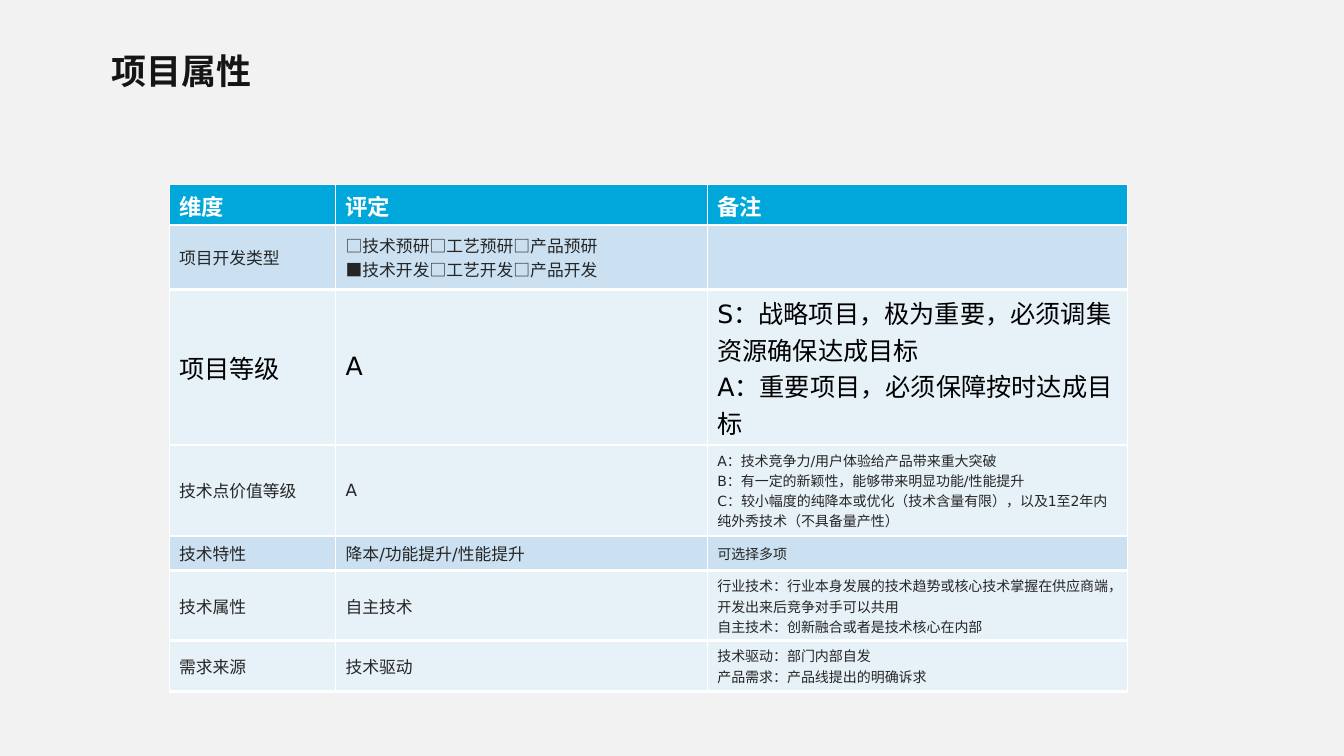
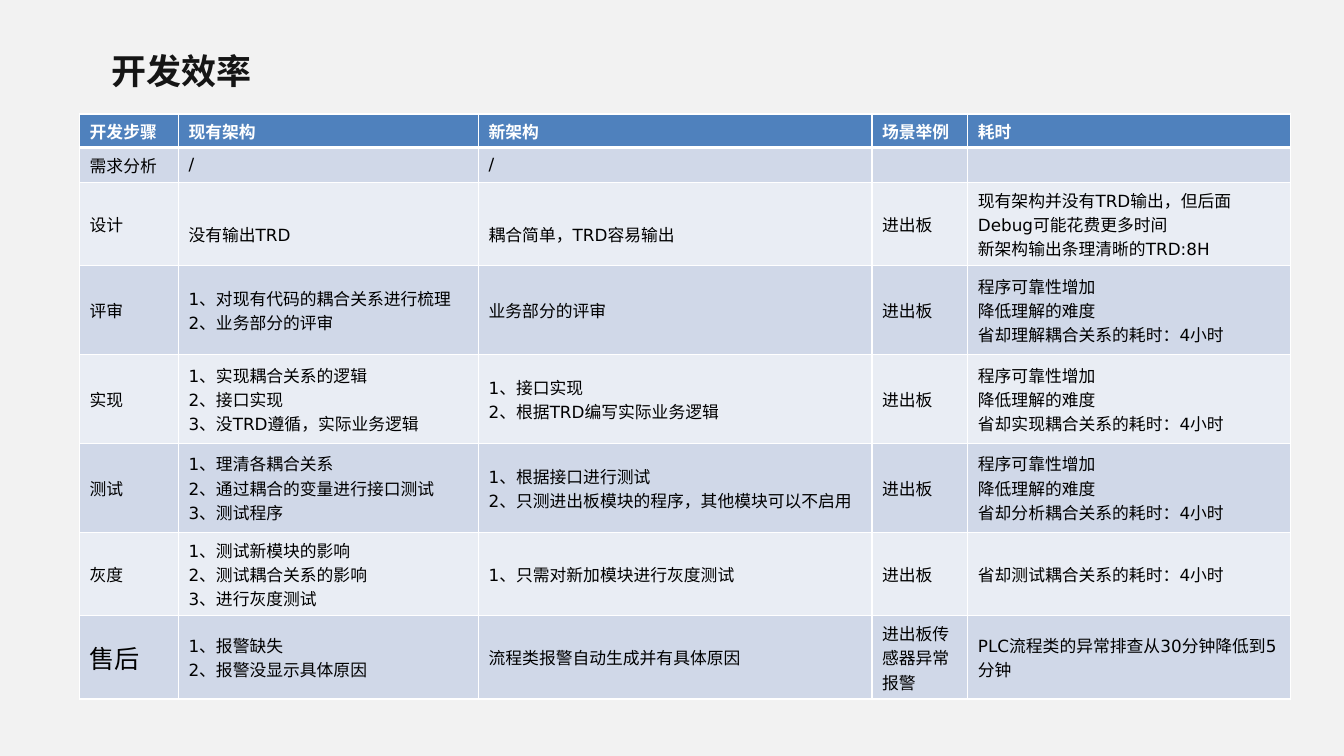
import dataclasses

import lxml.etree
import pptx
import pptx.dml.color
import pptx.enum.text
import pptx.oxml.ns
import pptx.util

Pt = pptx.util.Pt
RGB = pptx.dml.color.RGBColor.from_string
qn = pptx.oxml.ns.qn
MIDDLE = pptx.enum.text.MSO_ANCHOR.MIDDLE


@dataclasses.dataclass(frozen=True)
class Theme:
    background: str = "F2F2F2"
    title_color: str = "151515"
    rule: str = "FFFFFF"
    header_text: str = "FFFFFF"
    black: str = "000000"
    title_font: str = "Arial"
    body_font: str = "DejaVu Sans"
    title_size: float = 25
    large: float = 18
    heading: float = 16
    body: float = 12
    note: float = 10


THEME = Theme()


@dataclasses.dataclass(frozen=True)
class TableStyle:
    header_fill: str
    dark_fill: str
    light_fill: str
    text_color: str
    header_size: float
    column_sizes: tuple
    side_rule: float
    row_rule: float
    top_rule: float
    header_rule: float


ATTRIBUTE_STYLE = TableStyle(
    "00A7DA", "CBE1F1", "E7F1F8", "262626", THEME.heading,
    (THEME.body, THEME.body, THEME.note), 0.75, 2.25, 0.75, 2.25)
EFFICIENCY_STYLE = TableStyle(
    "4F81BD", "D0D8E8", "E9EDF4", THEME.black, THEME.body,
    (THEME.body,) * 5, 1, 1, 1, 3)

# Each row: height, dark band or not, cell texts (the first row is the header)
ATTRIBUTE_ROWS = [
    (29, True, ["维度", "评定", "备注"]),
    (46, True, ["项目开发类型",
                "□技术预研□工艺预研□产品预研\n■技术开发□工艺开发□产品开发", ""]),
    (111, False, ["项目等级", "A",
                  "S：战略项目，极为重要，必须调集资源确保达成目标\v"
                  "A：重要项目，必须保障按时达成目标"]),
    (65, False, ["技术点价值等级", "A",
                 "A：技术竞争力/用户体验给产品带来重大突破\n"
                 "B：有一定的新颖性，能够带来明显功能/性能提升\n"
                 "C：较小幅度的纯降本或优化（技术含量有限），以及1至2年内纯外秀技术（不具备量产性）"]),
    (25, True, ["技术特性", "降本/功能提升/性能提升", "可选择多项"]),
    (50, False, ["技术属性", "自主技术",
                 "行业技术：行业本身发展的技术趋势或核心技术掌握在供应商端，开发出来后竞争对手可以共用\n"
                 "自主技术：创新融合或者是技术核心在内部"]),
    (36, False, ["需求来源", "技术驱动",
                 "技术驱动：部门内部自发\n产品需求：产品线提出的明确诉求"]),
]

SCENE = "进出板"
BENEFIT = "程序可靠性增加\n降低理解的难度\n省却{}耦合关系的耗时：4小时"
EFFICIENCY_ROWS = [
    (24, True, ["开发步骤", "现有架构", "新架构", "场景举例", "耗时"]),
    (25, True, ["需求分析", "/", "/", "", ""]),
    (59.5, False, ["设计", "没有输出TRD", "耦合简单，TRD容易输出", SCENE,
                   "现有架构并没有TRD输出，但后面Debug可能花费更多时间\n"
                   "新架构输出条理清晰的TRD:8H"]),
    (63.5, True, ["评审", "1、对现有代码的耦合关系进行梳理\n2、业务部分的评审",
                  "业务部分的评审", SCENE, BENEFIT.format("理解")]),
    (63.5, False, ["实现", "1、实现耦合关系的逻辑\n2、接口实现\n3、没TRD遵循，实际业务逻辑",
                   "1、接口实现\n2、根据TRD编写实际业务逻辑", SCENE, BENEFIT.format("实现")]),
    (63.5, True, ["测试", "1、理清各耦合关系\n2、通过耦合的变量进行接口测试\n3、测试程序",
                  "1、根据接口进行测试\n2、只测进出板模块的程序，其他模块可以不启用",
                  SCENE, BENEFIT.format("分析")]),
    (59.5, False, ["灰度", "1、测试新模块的影响\n2、测试耦合关系的影响\n3、进行灰度测试",
                   "1、只需对新加模块进行灰度测试", SCENE, "省却测试耦合关系的耗时：4小时"]),
    (59.5, True, ["售后", "1、报警缺失\n2、报警没显示具体原因", "流程类报警自动生成并有具体原因",
                  "进出板传感器异常报警", "PLC流程类的异常排查从30分钟降低到5分钟"]),
]


def set_font(para, name, size, color, bold=False):
    para.font.name = name
    para.font.size = Pt(size)
    para.font.bold = bold
    para.font.color.rgb = RGB(color)


def add_page(deck, title):
    """Blank page with the shared background and title."""
    page = deck.slides.add_slide(deck.slide_layouts[6])
    page.background.fill.solid()
    page.background.fill.fore_color.rgb = RGB(THEME.background)
    box = page.shapes.add_textbox(Pt(72.7), Pt(26.6), Pt(393), Pt(47.5))
    frame = box.text_frame
    frame.word_wrap = True
    frame.vertical_anchor = MIDDLE
    frame.text = title
    set_font(frame.paragraphs[0], THEME.title_font, THEME.title_size,
             THEME.title_color, True)
    return page


def set_borders(cell, side, top, bottom):
    """White rules; these must come before the cell fill."""
    properties = cell._tc.get_or_add_tcPr()
    for edge, width in (("L", side), ("R", side), ("T", top), ("B", bottom)):
        line = lxml.etree.SubElement(properties, qn(f"a:ln{edge}"), w=str(Pt(width)))
        fill = lxml.etree.SubElement(line, qn("a:solidFill"))
        lxml.etree.SubElement(fill, qn("a:srgbClr"), val=THEME.rule)


def fill_cell(cell, text, fill, size, color, bold):
    cell.fill.solid()
    cell.fill.fore_color.rgb = RGB(fill)
    cell.vertical_anchor = MIDDLE
    cell.text_frame.text = text
    for para in cell.text_frame.paragraphs:
        set_font(para, THEME.body_font, size, color, bold)
        if not text:  # keeps an empty cell from stretching its row
            lxml.etree.SubElement(para._p, qn("a:endParaRPr"), sz=str(int(size * 100)))


def add_grid(page, left, top, widths, rows, style, large_cells):
    """Table at the given corner; large_cells holds (row, column) pairs."""
    height = sum(row[0] for row in rows)
    table = page.shapes.add_table(len(rows), len(widths), Pt(left), Pt(top),
                                  Pt(sum(widths)), Pt(height)).table
    for column, width in zip(table.columns, widths):
        column.width = Pt(width)
    for r, (row_height, dark, texts) in enumerate(rows):
        table.rows[r].height = Pt(row_height)
        header = r == 0
        rule_above = {0: style.top_rule, 1: style.header_rule}.get(r, style.row_rule)
        rule_below = style.header_rule if header else style.row_rule
        band = style.dark_fill if dark else style.light_fill
        for c, text in enumerate(texts):
            cell = table.cell(r, c)
            set_borders(cell, style.side_rule, rule_above, rule_below)
            if header:
                look = style.header_fill, style.header_size, THEME.header_text
            elif (r, c) in large_cells:
                look = band, THEME.large, THEME.black
            else:
                look = band, style.column_sizes[c], style.text_color
            fill_cell(cell, text, *look, header)
    return table


def add_attribute_page(deck):
    page = add_page(deck, "项目属性")
    add_grid(page, 120.7, 131.8, (119, 265.5, 300), ATTRIBUTE_ROWS,
             ATTRIBUTE_STYLE, {(2, 0), (2, 1), (2, 2)})


def add_efficiency_page(deck):
    page = add_page(deck, "开发效率")
    table = add_grid(page, 56.9, 81.4, (70.6, 214.4, 281, 68.5, 230.2),
                     EFFICIENCY_ROWS, EFFICIENCY_STYLE, {(7, 0)})
    # The two design cells sit a little below the middle
    for column in (1, 2):
        table.cell(2, column).margin_top = Pt(18)


def main():
    deck = pptx.Presentation()
    deck.slide_width, deck.slide_height = Pt(960), Pt(540)
    add_attribute_page(deck)
    add_efficiency_page(deck)
    deck.save("out.pptx")


if __name__ == "__main__":
    main()
